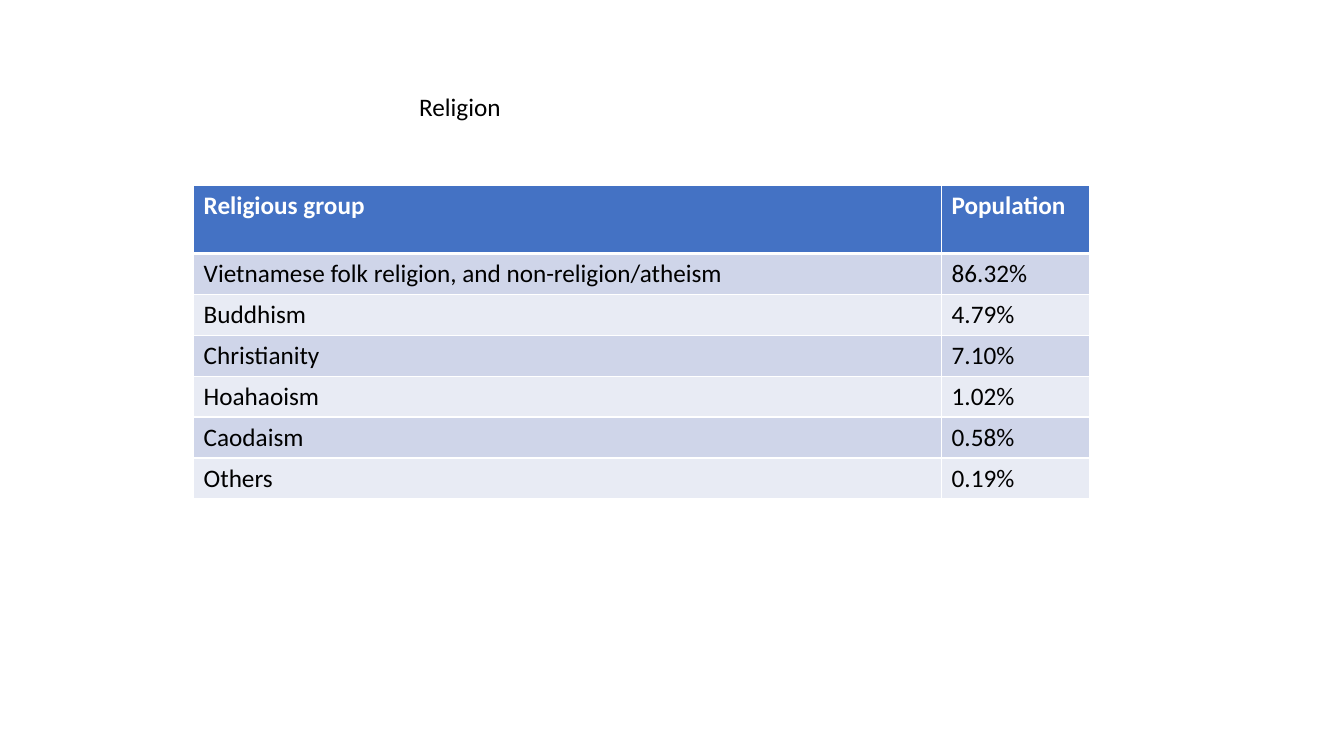
from dataclasses import dataclass
from typing import Any

from lxml import etree
from pptx import Presentation
from pptx import util as u
from pptx.dml.color import RGBColor
from pptx.enum import text
from pptx.oxml import ns

WHITE = RGBColor(0xFF, 0xFF, 0xFF)
BLACK = RGBColor(0x00, 0x00, 0x00)
HEADER_BLUE = RGBColor(0x44, 0x72, 0xC4)
BAND_DARK = RGBColor(0xCF, 0xD5, 0xE9)
BAND_LIGHT = RGBColor(0xE8, 0xEB, 0xF4)

THIN_BORDER = u.Pt(0.96)
THICK_BORDER = u.Pt(3)
COLUMN_WIDTHS = (u.Cm(18.85), u.Cm(3.73))
HEADER_HEIGHT = u.Cm(1.72)
ROW_HEIGHT = u.Cm(1.03)


@dataclass(frozen=True)
class ReligionRow:
    group: str
    population: str


HEADER = ReligionRow("Religious group", "Population")
RELIGIONS = (
    ReligionRow("Vietnamese folk religion, and non-religion/atheism", "86.32%"),
    ReligionRow("Buddhism", "4.79%"),
    ReligionRow("Christianity", "7.10%"),
    ReligionRow("Hoahaoism", "1.02%"),
    ReligionRow("Caodaism", "0.58%"),
    ReligionRow("Others", "0.19%"),
)


def apply_format(target: Any, values: dict[str, Any]) -> None:
    for name, value in values.items():
        setattr(target, name, value)


def format_font(font: Any, color: RGBColor, bold: bool = False) -> None:
    apply_format(font, {"name": "Calibri", "size": u.Pt(18), "bold": bold})
    font.color.rgb = color


def add_borders(cell: Any, top: int, bottom: int) -> None:
    properties = cell._tc.get_or_add_tcPr()
    widths = {"lnL": THIN_BORDER, "lnR": THIN_BORDER, "lnT": top, "lnB": bottom}
    for position, (tag, width) in enumerate(widths.items()):
        line = etree.Element(ns.qn(f"a:{tag}"), w=str(int(width)))
        fill = etree.SubElement(line, ns.qn("a:solidFill"))
        etree.SubElement(fill, ns.qn("a:srgbClr"), val=str(WHITE))
        properties.insert(position, line)


def draw_title(slide: Any, wording: str) -> None:
    title = slide.shapes.title
    apply_format(title, {
        "left": u.Cm(10.31), "top": u.Cm(2.18),
        "width": u.Cm(3.02), "height": u.Cm(1.03),
    })
    frame = title.text_frame
    frame.text = wording
    apply_format(frame, {
        "word_wrap": False,
        "auto_size": text.MSO_AUTO_SIZE.SHAPE_TO_FIT_TEXT,
        "vertical_anchor": text.MSO_ANCHOR.TOP,
    })
    paragraph = frame.paragraphs[0]
    paragraph.alignment = text.PP_ALIGN.LEFT
    format_font(paragraph.runs[0].font, BLACK)


def draw_table(slide: Any, rows: tuple[ReligionRow, ...]) -> None:
    heights = [HEADER_HEIGHT] + [ROW_HEIGHT] * (len(rows) - 1)
    table = slide.shapes.add_table(
        len(rows), len(COLUMN_WIDTHS), u.Cm(4.88), u.Cm(4.67),
        sum(COLUMN_WIDTHS), sum(heights),
    ).table
    for column, width in zip(table.columns, COLUMN_WIDTHS):
        column.width = width
    for index, (row, height) in enumerate(zip(rows, heights)):
        table.rows[index].height = height
        is_header = index == 0
        band = BAND_DARK if index % 2 else BAND_LIGHT
        for cell, wording in zip(table.rows[index].cells, (row.group, row.population)):
            cell.text = wording
            cell.fill.solid()
            cell.fill.fore_color.rgb = HEADER_BLUE if is_header else band
            format_font(
                cell.text_frame.paragraphs[0].runs[0].font,
                WHITE if is_header else BLACK, is_header,
            )
            add_borders(
                cell,
                top=THICK_BORDER if index == 1 else THIN_BORDER,
                bottom=THICK_BORDER if is_header else THIN_BORDER,
            )


presentation = Presentation()
apply_format(presentation, {"slide_width": u.Cm(33.87), "slide_height": u.Cm(19.05)})
slide = presentation.slides.add_slide(presentation.slide_layouts.get_by_name("Title Only"))
draw_table(slide, (HEADER, *RELIGIONS))
draw_title(slide, "Religion")
presentation.save("out.pptx")
